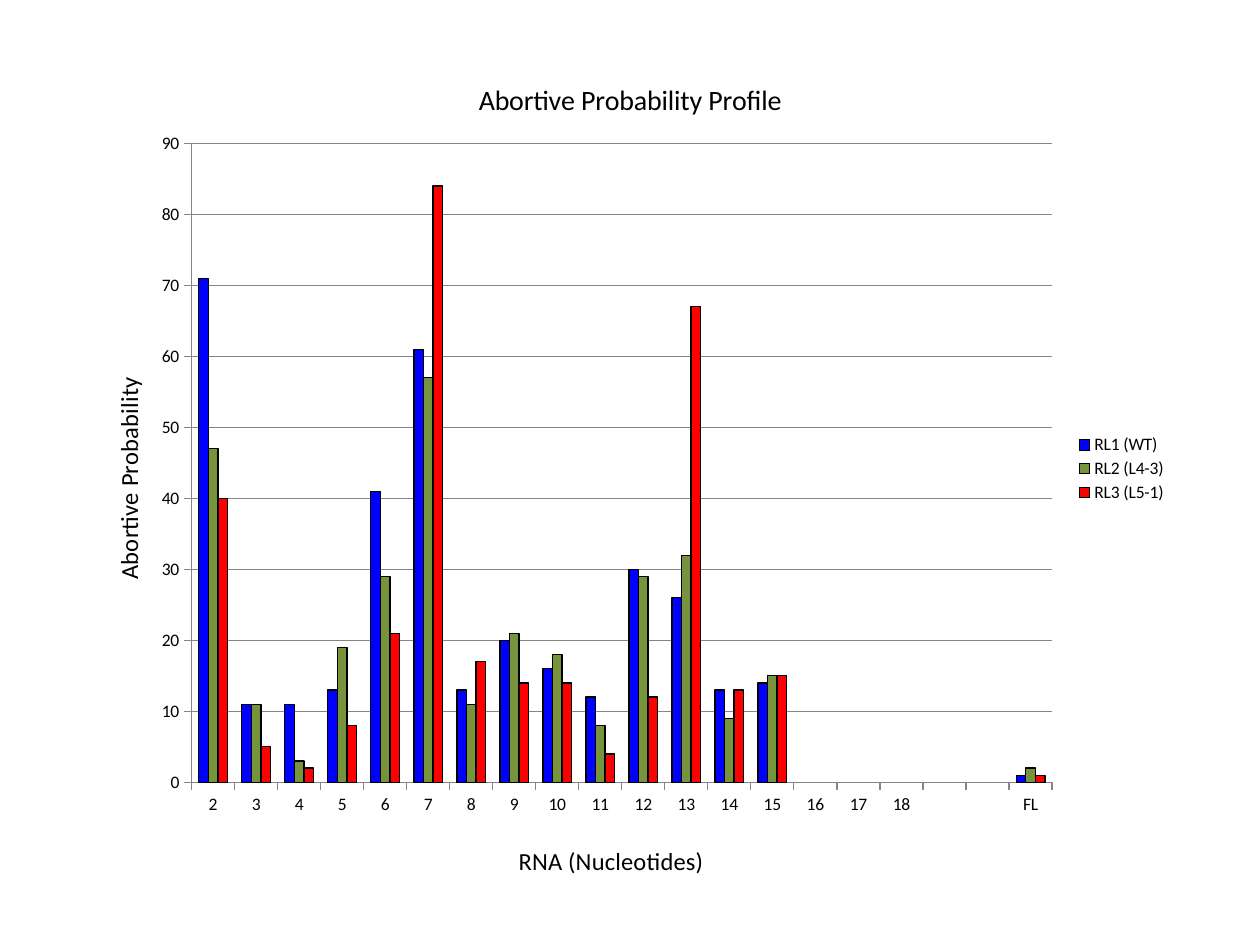
from lxml import etree
from pptx import Presentation
from pptx.chart.data import CategoryChartData
from pptx.dml.color import RGBColor
from pptx.enum.chart import XL_CHART_TYPE, XL_LEGEND_POSITION, XL_TICK_MARK
from pptx.oxml.ns import qn
from pptx.util import Inches, Pt

COLUMNS = XL_CHART_TYPE.COLUMN_CLUSTERED
LEGEND_RIGHT = XL_LEGEND_POSITION.RIGHT
TICK_OUTSIDE, TICK_NONE = XL_TICK_MARK.OUTSIDE, XL_TICK_MARK.NONE

# Content
FONT = "Calibri"
BLACK, GRAY = "000000", "868686"
TITLE = "Abortive Probability Profile"
CATEGORY_TITLE = "RNA (Nucleotides)"
VALUE_TITLE = "Abortive Probability"
CATEGORIES = [str(length) for length in range(2, 19)] + ["", "", "FL"]
GAP = [None] * 5  # lengths 16 to 18 and two unnamed slots
SERIES = [
    ("RL1 (WT)", "0000FF",
     [71, 11, 11, 13, 41, 61, 13, 20, 16, 12, 30, 26, 13, 14] + GAP + [1]),
    ("RL2 (L4-3)", "77933C",
     [47, 11, 3, 19, 29, 57, 11, 21, 18, 8, 29, 32, 9, 15] + GAP + [2]),
    ("RL3 (L5-1)", "FF0000",
     [40, 5, 2, 8, 21, 84, 17, 14, 14, 4, 12, 67, 13, 15] + GAP + [1]),
]

# Places on the slide, in inches
CHART_BOX = (0.57, 0.33, 8.8, 6.79)
PLOT_BOX = (1.52, 1.14, 6.83, 5.07)
LEGEND_BOX = (8.5, 3.42, 0.8, 0.6)
TITLE_AT = (3.76, 0.6)
CATEGORY_TITLE_AT = (4.08, 6.66)
VALUE_TITLE_AT = (0.85, 2.96)


def color(value):
    return RGBColor.from_string(value)


def format_font(font, size):
    font.name, font.size, font.bold = FONT, Pt(size), False
    font.color.rgb = color(BLACK)


def add_text(text_frame, text, size=14):
    text_frame.text = text
    format_font(text_frame.paragraphs[0].runs[0].font, size)


def format_line(line, value, width=0.75):
    line.color.rgb = color(value)
    line.width = Pt(width)


def place(element, box, after=None, inner=False):
    """Fix a chart part at a slide position given in inches."""
    for old in element.findall(qn("c:layout")):
        element.remove(old)
    layout = etree.Element(qn("c:layout"))
    manual = etree.SubElement(layout, qn("c:manualLayout"))
    left, top, width, height = CHART_BOX
    fractions = [(box[0] - left) / width, (box[1] - top) / height]
    fractions += [size / whole for size, whole in zip(box[2:], (width, height))]
    settings = [("layoutTarget", "inner")] if inner else []
    settings += [("xMode", "edge"), ("yMode", "edge")]
    settings += [(key, f"{part:.4f}") for key, part in zip("xywh", fractions)]
    for key, value in settings:
        etree.SubElement(manual, qn(f"c:{key}")).set("val", value)
    if after:
        element.find(qn(after)).addnext(layout)
    else:
        element.insert(0, layout)


presentation = Presentation()
presentation.slide_width, presentation.slide_height = Inches(10), Inches(7.5)
slide = presentation.slides.add_slide(presentation.slide_layouts[6])

# Chart
data = CategoryChartData(number_format="0")
data.categories = CATEGORIES
for name, _, values in SERIES:
    data.add_series(name, values)
frame = slide.shapes.add_chart(COLUMNS, *map(Inches, CHART_BOX), data)
chart = frame.chart
format_font(chart.font, 10)
chart.has_title = True
add_text(chart.chart_title.text_frame, TITLE, size=16)

# Columns
plot = chart.plots[0]
plot.gap_width, plot.overlap, plot.vary_by_categories = 150, 0, False
for series, (_, fill, _) in zip(plot.series, SERIES):
    series.format.fill.solid()
    series.format.fill.fore_color.rgb = color(fill)
    format_line(series.format.line, BLACK)

# Axes
category_axis, value_axis = chart.category_axis, chart.value_axis
for axis, text in ((category_axis, CATEGORY_TITLE), (value_axis, VALUE_TITLE)):
    axis.has_title = True
    add_text(axis.axis_title.text_frame, text)
    axis.major_tick_mark, axis.minor_tick_mark = TICK_OUTSIDE, TICK_NONE
    format_line(axis.format.line, GRAY)
value_axis.minimum_scale, value_axis.maximum_scale = 0, 90
value_axis.major_unit = 10
value_axis.has_major_gridlines = True
format_line(value_axis.major_gridlines.format.line, GRAY)
value_axis.tick_labels.number_format = "0"
value_axis.tick_labels.number_format_is_linked = False

# Legend
chart.has_legend = True
chart.legend.position = LEGEND_RIGHT
chart.legend.include_in_layout = False
format_font(chart.legend.font, 10)

# Positions
for route, box, after, inner in (
    ("c:title", TITLE_AT, "c:tx", False),
    ("c:plotArea/c:catAx/c:title", CATEGORY_TITLE_AT, "c:tx", False),
    ("c:plotArea/c:valAx/c:title", VALUE_TITLE_AT, "c:tx", False),
    ("c:legend", LEGEND_BOX, "c:legendPos", False),
    ("c:plotArea", PLOT_BOX, None, True),
):
    place(chart.element.xpath(f"c:chart/{route}")[0], box, after, inner)

presentation.save("out.pptx")
